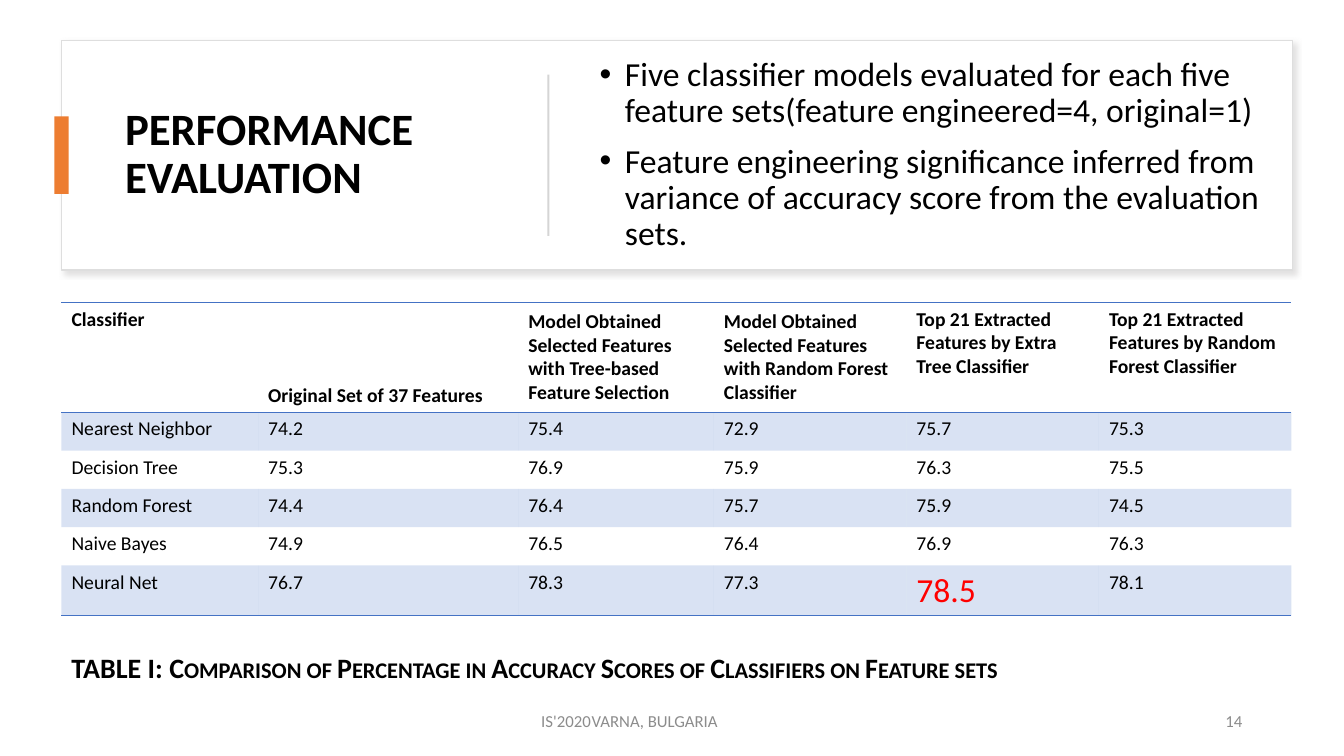
from dataclasses import dataclass

from lxml import etree
from pptx import Presentation, util as u
from pptx.dml.color import RGBColor
from pptx.enum import shapes, text
from pptx.oxml import ns


@dataclass(frozen=True)
class Theme:
    font: str = "Calibri"
    black: str = "000000"
    white: str = "FFFFFF"
    card_line: str = "DEDEDE"
    shadow: str = "C5C3C3"
    divider: str = "D5D5D5"
    accent: str = "ED7D31"
    table: str = "4472C4"
    highlight: str = "FF0000"
    footer: str = "8C8C8C"
    title_size: int = 32
    body_size: int = 24
    caption_size: int = 20
    table_size: int = 14
    footer_size: int = 12


THEME = Theme()
PLAIN_TABLE_STYLE = "{2D5ABB26-0587-4C30-8999-92F81FD0307C}"
ANCHOR = text.MSO_ANCHOR

BULLETS = [
    "Five classifier models evaluated for each five feature sets"
    "(feature engineered=4, original=1)",
    "Feature engineering significance inferred from variance of accuracy "
    "score from the evaluation sets.",
]
COLUMNS = [  # heading, width, anchor of the heading
    ("Classifier", 1.95, ANCHOR.TOP),
    ("Original Set of 37 Features", 2.58, ANCHOR.BOTTOM),
    ("Model Obtained Selected Features with Tree-based Feature Selection",
     1.94, ANCHOR.MIDDLE),
    ("Model Obtained Selected Features with Random Forest Classifier",
     1.91, ANCHOR.MIDDLE),
    ("Top 21 Extracted Features by Extra Tree Classifier", 1.91, ANCHOR.TOP),
    ("Top 21 Extracted Features by Random Forest Classifier", 1.91, ANCHOR.TOP),
]
SCORES = [
    ("Nearest Neighbor", 74.2, 75.4, 72.9, 75.7, 75.3),
    ("Decision Tree", 75.3, 76.9, 75.9, 76.3, 75.5),
    ("Random Forest", 74.4, 76.4, 75.7, 75.9, 74.5),
    ("Naive Bayes", 74.9, 76.5, 76.4, 76.9, 76.3),
    ("Neural Net", 76.7, 78.3, 77.3, 78.5, 78.1),
]
BEST_SCORE = max(score for row in SCORES for score in row[1:])


def set_all(target, **values):
    for name, value in values.items():
        setattr(target, name, value)


def add_xml(parent, tag, **attributes):
    return etree.SubElement(parent, ns.qn(tag), attributes)


def write(paragraph, words, size, color=THEME.black, bold=False):
    run = paragraph.add_run()
    run.text = words
    set_all(run.font, name=THEME.font, size=u.Pt(size), bold=bold)
    run.font.color.rgb = RGBColor.from_string(color)
    return run


def place(shape, left, top, width, height):
    set_all(shape, left=u.Inches(left), top=u.Inches(top),
            width=u.Inches(width), height=u.Inches(height))


def add_text_box(slide, left, top, width, height, anchor=ANCHOR.MIDDLE):
    box = slide.shapes.add_textbox(*map(u.Inches, (left, top, width, height)))
    set_all(box.text_frame, word_wrap=True, vertical_anchor=anchor)
    return box.text_frame


def add_block(slide, color, *box):
    block = slide.shapes.add_shape(shapes.MSO_SHAPE.RECTANGLE, *map(u.Inches, box))
    block.shadow.inherit = False
    block.fill.solid()
    block.fill.fore_color.rgb = RGBColor.from_string(color)
    block.line.fill.background()
    return block


def add_card(slide, left, top, width, height):
    card = add_block(slide, THEME.white, left, top, width, height)
    card.line.color.rgb = RGBColor.from_string(THEME.card_line)
    card.line.width = u.Pt(1)
    effects = card._element.spPr.find(ns.qn("a:effectLst"))
    shadow = add_xml(effects, "a:outerShdw", blurRad=str(u.Pt(4)),
                     dist=str(u.Pt(3)), dir=str(45 * 60000))
    add_xml(add_xml(shadow, "a:srgbClr", val=THEME.shadow), "a:alpha", val="50000")


def add_header(slide, left, top, width, height):
    """Card with the title, an accent tab, a divider and the bullets."""
    add_card(slide, left, top, width, height)
    middle = top + height / 2
    text_top, text_height = middle - 0.9, 1.8

    title = slide.shapes.title
    slide.shapes._spTree.append(title._element)
    place(title, left + 0.53, text_top, 3.89, text_height)
    set_all(title.text_frame, word_wrap=True, vertical_anchor=ANCHOR.MIDDLE,
            auto_size=text.MSO_AUTO_SIZE.NONE)
    heading = title.text_frame.paragraphs[0]
    set_all(heading, alignment=text.PP_ALIGN.LEFT, line_spacing=0.9)
    write(heading, "PERFORMANCE EVALUATION", THEME.title_size, bold=True)

    add_block(slide, THEME.accent, left - 0.07, middle - 0.385, 0.14, 0.77)
    add_block(slide, THEME.divider, left + 4.82, middle - 0.8, 0.02, 1.6)

    frame = add_text_box(slide, left + 5.24, text_top, 6.83, text_height)
    for index, words in enumerate(BULLETS):
        paragraph = frame.add_paragraph() if index else frame.paragraphs[0]
        set_all(paragraph, line_spacing=0.9, space_before=u.Pt(10))
        properties = paragraph._p.get_or_add_pPr()
        properties.set("marL", str(u.Inches(0.25)))
        properties.set("indent", str(u.Inches(-0.25)))
        add_xml(properties, "a:buFont", typeface="Arial")
        add_xml(properties, "a:buChar", char="•")
        write(paragraph, words, THEME.body_size)


def add_border(cell, side):
    line = add_xml(cell._tc.get_or_add_tcPr(), side, w=str(u.Pt(1)))
    add_xml(add_xml(line, "a:solidFill"), "a:srgbClr", val=THEME.table)


def shade(cell):
    cell.fill.solid()
    cell.fill.fore_color.rgb = RGBColor.from_string(THEME.table)
    color = cell._tc.tcPr.find(".//" + ns.qn("a:solidFill") + "[last()]/"
                               + ns.qn("a:srgbClr"))
    fill = cell._tc.tcPr.find(ns.qn("a:solidFill"))
    color = fill.find(ns.qn("a:srgbClr"))
    add_xml(color, "a:alpha", val="20000")


def add_score_table(slide, left, top, width, height):
    rows = [[heading for heading, _, _ in COLUMNS], *SCORES]
    frame = slide.shapes.add_table(len(rows), len(COLUMNS),
                                   *map(u.Inches, (left, top, width, height)))
    table = frame.table
    set_all(table, first_row=False, horz_banding=False)
    table._tbl.tblPr.find(ns.qn("a:tableStyleId")).text = PLAIN_TABLE_STYLE
    for column, (_, column_width, _) in zip(table.columns, COLUMNS):
        column.width = u.Inches(column_width)
    row_heights = [1.09] + [0.38] * (len(SCORES) - 1) + [0.5]

    for row_index, values in enumerate(rows):
        table.rows[row_index].height = u.Inches(row_heights[row_index])
        is_heading = row_index == 0
        for column_index, value in enumerate(values):
            cell = table.cell(row_index, column_index)
            cell.vertical_anchor = COLUMNS[column_index][2] if is_heading else ANCHOR.TOP
            best = value == BEST_SCORE
            write(cell.text_frame.paragraphs[0], str(value),
                  THEME.body_size if best else THEME.table_size,
                  THEME.highlight if best else THEME.black, is_heading)
            if is_heading:
                add_border(cell, "a:lnT")
            if is_heading or row_index == len(SCORES):
                add_border(cell, "a:lnB")
            if row_index % 2:
                shade(cell)
            else:
                cell.fill.background()


def add_caption(slide, *box):
    paragraph = add_text_box(slide, *box, anchor=ANCHOR.TOP).paragraphs[0]
    paragraph.space_after = u.Pt(6)
    write(paragraph, "TABLE I: ", THEME.caption_size, bold=True)
    run = write(paragraph, "Comparison of Percentage in Accuracy Scores of "
                "Classifiers on Feature sets", THEME.caption_size, bold=True)
    run.font._element.set("cap", "small")


def add_footer(slide, left, top, width, height):
    """Event and place, set apart by a tab stop, and the slide number."""
    event = add_text_box(slide, left, top, 4.5, height).paragraphs[0]
    properties = event._p.get_or_add_pPr()
    properties.set("marL", str(u.Inches(0.85)))
    properties.set("indent", "0")
    add_xml(add_xml(properties, "a:tabLst"), "a:tab", pos=str(u.Inches(2.18)), algn="l")
    write(event, "IS'2020\tVARNA, BULGARIA", THEME.footer_size, THEME.footer)
    number = add_text_box(slide, left + width - 3, top, 3, height).paragraphs[0]
    number.alignment = text.PP_ALIGN.RIGHT
    write(number, "14", THEME.footer_size, THEME.footer)


def main():
    presentation = Presentation()
    set_all(presentation, slide_width=u.Inches(13.33), slide_height=u.Inches(7.5))
    slide = presentation.slides.add_slide(presentation.slide_layouts[5])
    add_header(slide, 0.61, 0.4, 12.21, 2.28)
    add_score_table(slide, 0.61, 3, 12.2, 3.11)
    add_caption(slide, 0.61, 6.4, 12.42, 0.44)
    add_footer(slide, 4.42, 6.95, 8, 0.4)
    presentation.save("out.pptx")


if __name__ == "__main__":
    main()
